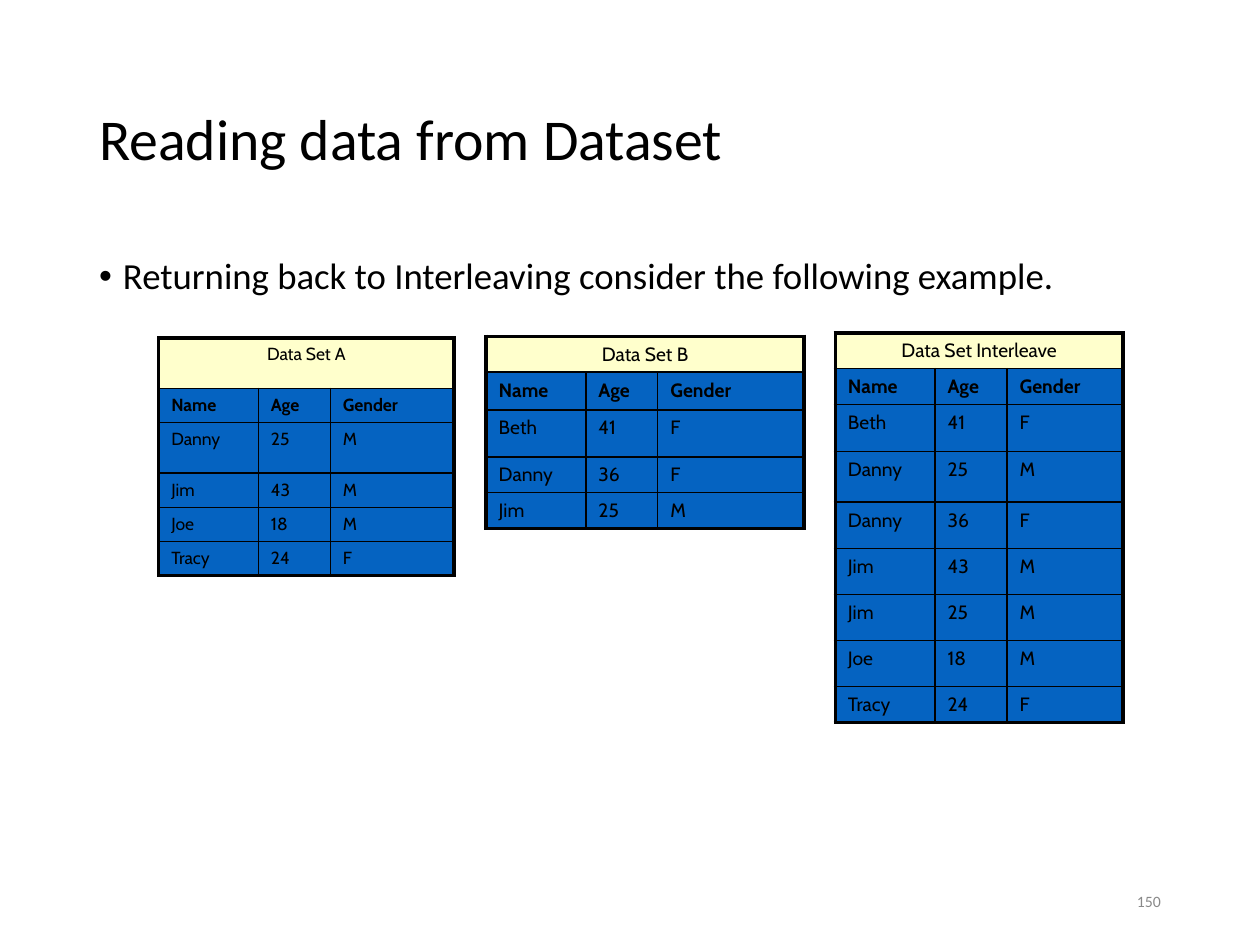
from lxml import etree
from pptx import Presentation
from pptx.dml.color import RGBColor
from pptx.enum.text import MSO_ANCHOR, PP_ALIGN
from pptx.oxml.ns import qn
from pptx.util import Cm, Pt

BLACK = RGBColor(0x00, 0x00, 0x00)
GRAY = RGBColor(0x89, 0x89, 0x89)
BLUE = RGBColor(0x05, 0x63, 0xC1)
CREAM = RGBColor(0xFF, 0xFF, 0xCC)
LEFT, CENTER, RIGHT = PP_ALIGN.LEFT, PP_ALIGN.CENTER, PP_ALIGN.RIGHT
TOP, MIDDLE = MSO_ANCHOR.TOP, MSO_ANCHOR.MIDDLE
THIN, THICK = Pt(1), Pt(2.25)
HEADINGS = ("Name", "Age", "Gender")

presentation = Presentation()
presentation.slide_width = Cm(25.4)
presentation.slide_height = Cm(19.05)
slide = presentation.slides.add_slide(presentation.slide_layouts[6])


def add_text(left, top, width, height, text, size, color, anchor, alignment, spacing, bullet=False):
    shape = slide.shapes.add_textbox(Cm(left), Cm(top), Cm(width), Cm(height))
    text_frame = shape.text_frame
    text_frame.word_wrap = True
    text_frame.vertical_anchor = anchor
    text_frame.text = text
    paragraph = text_frame.paragraphs[0]
    paragraph.alignment = alignment
    paragraph.line_spacing = spacing
    if bullet:
        properties = paragraph._p.get_or_add_pPr()
        properties.set("marL", str(Cm(0.48)))
        properties.set("indent", str(-Cm(0.48)))
        etree.SubElement(properties, qn("a:buFont"), typeface="Arial")
        etree.SubElement(properties, qn("a:buChar"), char="•")
    font = paragraph.runs[0].font
    font.name = "Calibri"
    font.size = Pt(size)
    font.color.rgb = color


def add_border(cell, side, width):
    line = etree.SubElement(cell._tc.get_or_add_tcPr(), qn("a:ln" + side), w=str(width))
    fill = etree.SubElement(line, qn("a:solidFill"))
    etree.SubElement(fill, qn("a:srgbClr"), val=str(BLACK))


add_text(1.75, 1.02, 21.9, 3.68, "Reading data from Dataset", 33, BLACK, MIDDLE, LEFT, 0.9)
add_text(1.75, 5.08, 21.9, 12.09, "Returning back to Interleaving consider the following example.",
         21, BLACK, TOP, LEFT, 0.9, bullet=True)
add_text(17.93, 17.65, 5.72, 1.02, "150", 9, GRAY, MIDDLE, RIGHT, 1.0)

data_sets = [
    ("Data Set A", 3.2, 6.81, 10, 2.49,
     (1.02, 0.69, 1.02, 0.69, 0.69, 0.69),
     [("Danny", "25", "M"), ("Jim", "43", "M"), ("Joe", "18", "M"), ("Tracy", "24", "F")]),
    ("Data Set B", 9.8, 6.78, 11, 2.95,
     (0.72, 0.76, 0.95, 0.72, 0.72),
     [("Beth", "41", "F"), ("Danny", "36", "F"), ("Jim", "25", "M")]),
    ("Data Set Interleave", 16.84, 6.71, 11, 2.34,
     (0.72, 0.72, 0.95, 1.02, 0.93, 0.93, 0.93, 0.93, 0.72),
     [("Beth", "41", "F"), ("Danny", "25", "M"), ("Danny", "36", "F"), ("Jim", "43", "M"),
      ("Jim", "25", "M"), ("Joe", "18", "M"), ("Tracy", "24", "F")]),
]

for title, left, top, size, gender_width, heights, records in data_sets:
    rows = [(title, "", ""), HEADINGS] + records
    widths = (2.01, 1.45, gender_width)
    table = slide.shapes.add_table(len(rows), 3, Cm(left), Cm(top),
                                   Cm(sum(widths)), Cm(sum(heights))).table
    table.first_row = False
    table.horz_banding = False
    for column, width in zip(table.columns, widths):
        column.width = Cm(width)
    for row, height in zip(table.rows, heights):
        row.height = Cm(height)
    table.cell(0, 0).merge(table.cell(0, 2))
    for row_index, values in enumerate(rows):
        for column_index, value in enumerate(values):
            cell = table.cell(row_index, column_index)
            outer_sides = {
                "L": column_index == 0 or row_index == 0,
                "R": column_index == 2 or row_index == 0,
                "T": row_index == 0,
                "B": row_index == len(rows) - 1,
            }
            for side, is_outer in outer_sides.items():
                add_border(cell, side, THICK if is_outer else THIN)
            cell.fill.solid()
            cell.fill.fore_color.rgb = BLUE if row_index else CREAM
            if not value:
                continue
            cell.text_frame.text = value
            paragraph = cell.text_frame.paragraphs[0]
            paragraph.alignment = LEFT if row_index else CENTER
            font = paragraph.runs[0].font
            font.name = "Cabin"
            font.size = Pt(size)
            font.bold = row_index == 1
            font.color.rgb = BLACK

presentation.save("out.pptx")
